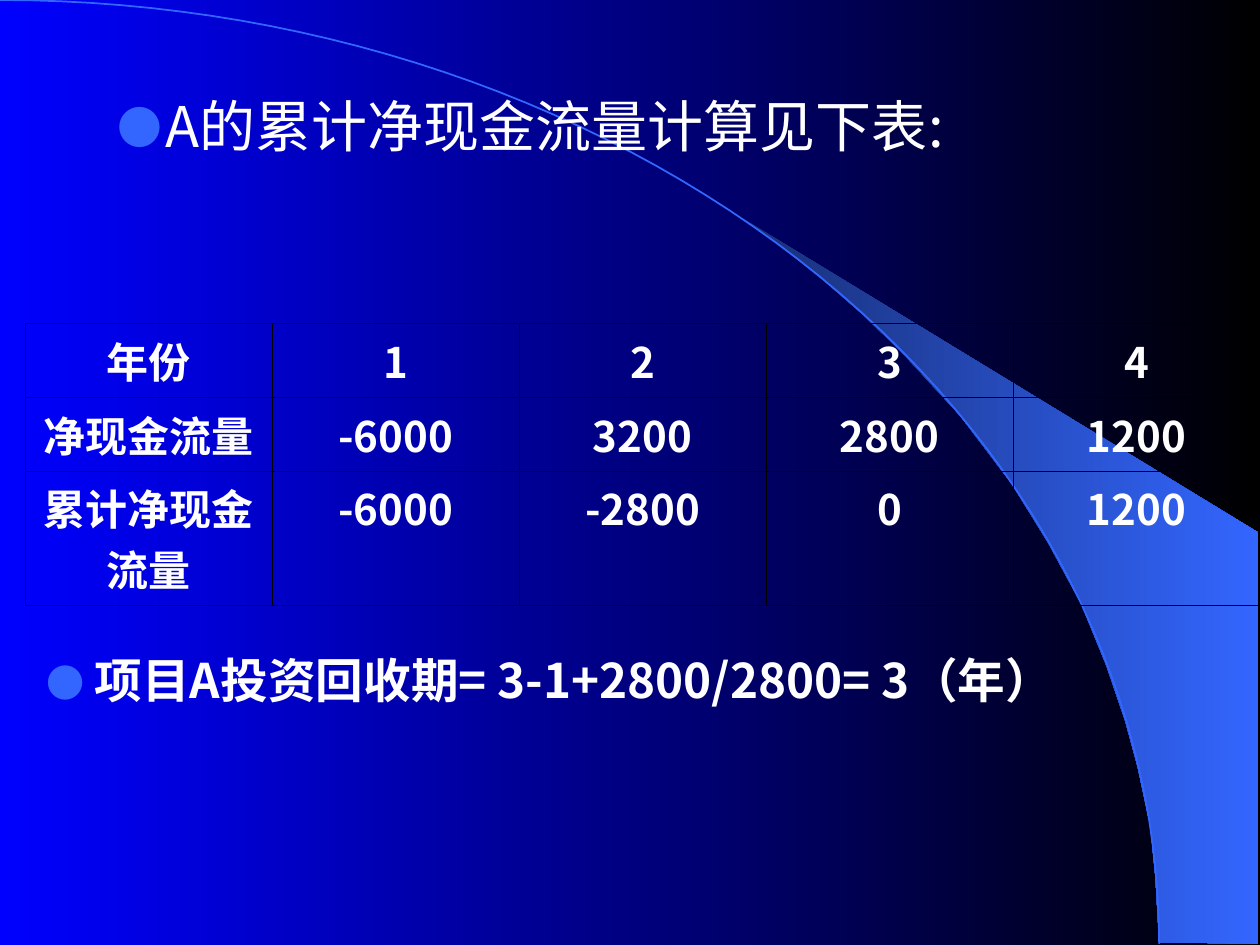
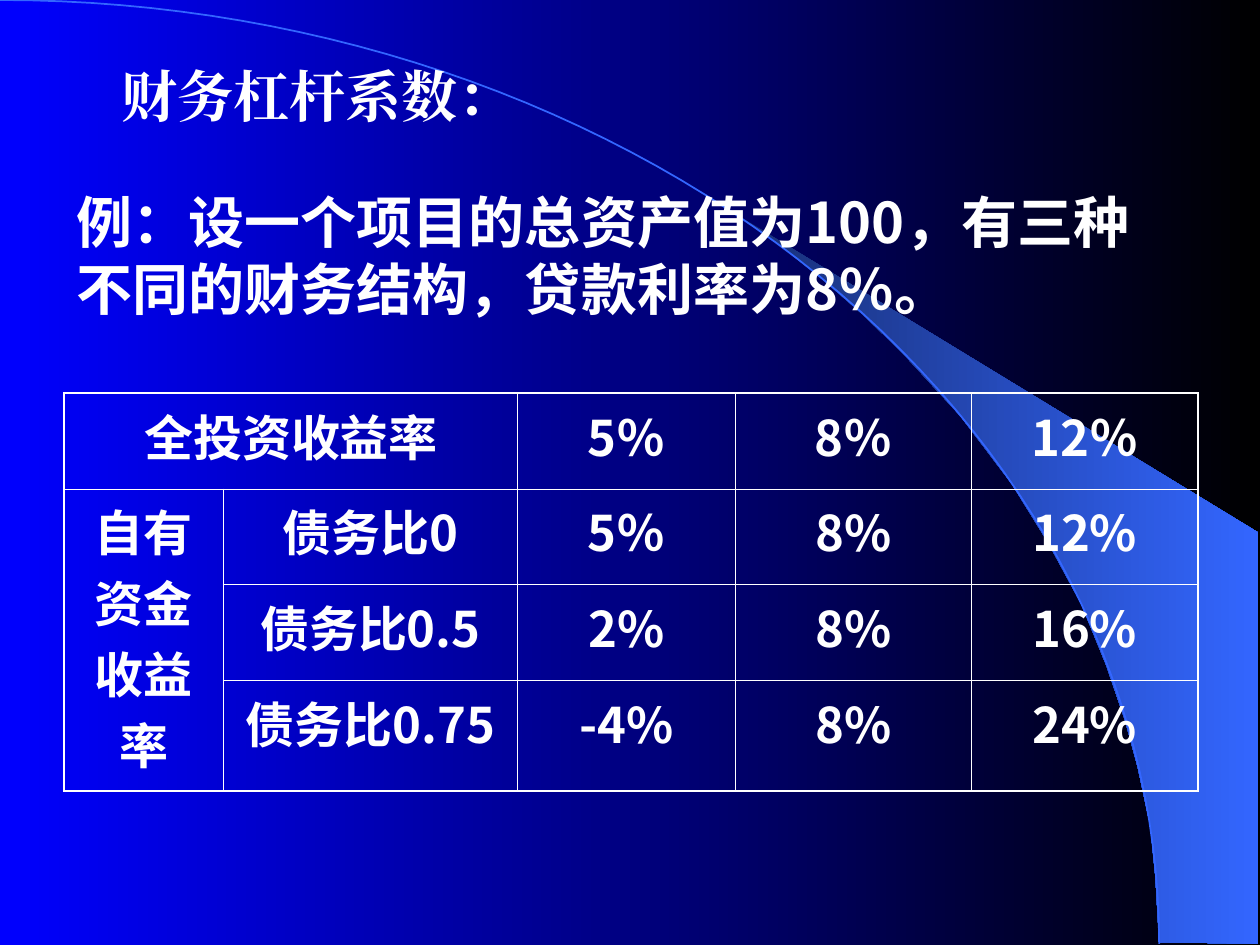
from math import cos, pi, sin

from lxml.etree import SubElement
from pptx import Presentation
from pptx.dml.color import RGBColor
from pptx.enum.text import MSO_ANCHOR, MSO_AUTO_SIZE, PP_ALIGN
from pptx.oxml.ns import qn
from pptx.util import Inches, Pt

THEME = {
    "blue": "0000FF", "black": "000000", "navy": "182F76", "accent": "3366FF", "white": "FFFFFF",
    "font": "Noto Sans CJK SC", "serif": "Times New Roman",
    "head": 32, "result": 27.2, "cell_small": 24, "cell_large": 28,
}


def put_text(tf, text, size, bold=True, font=THEME["font"], align=PP_ALIGN.LEFT,
             anchor=MSO_ANCHOR.TOP, spacing=1.0):
    frame = {"word_wrap": True, "auto_size": MSO_AUTO_SIZE.NONE, "vertical_anchor": anchor}
    for name, value in frame.items():
        setattr(tf, name, value)
    p = tf.paragraphs[0]
    for name, value in {"alignment": align, "space_before": Pt(0), "line_spacing": spacing}.items():
        setattr(p, name, value)
    r = p.add_run()
    r.text = text
    for name, value in {"size": Pt(size), "bold": bold, "name": font}.items():
        setattr(r.font, name, value)
    r.font.color.rgb = RGBColor.from_string(THEME["white"])
    SubElement(r.font._element, qn("a:ea"), typeface=font)
    return p


def put_table(s, box, col_widths, row_heights, rows, size, margin, line, outer, merges=()):
    table = s.shapes.add_table(len(rows), len(col_widths), *map(Inches, box)).table
    table.first_row = table.horz_banding = False
    for col, width in zip(table.columns, col_widths):
        col.width = Inches(width)
    for row, height in zip(table.rows, row_heights):
        row.height = Inches(height)
    for first, last in merges:
        table.cell(*first).merge(table.cell(*last))
    for i, values in enumerate(rows):
        for j, value in enumerate(values):
            cell = table.cell(i, j)
            cell.margin_left = cell.margin_right = Inches(margin)
            cell.margin_top = cell.margin_bottom = Inches(0.05)
            # Borders: the outer frame may be heavier than the grid
            at_edge = {
                "L": j == 0,
                "R": j + cell.span_width == len(col_widths),
                "T": i == 0,
                "B": i + cell.span_height == len(rows),
            }
            tcPr = cell._tc.get_or_add_tcPr()
            for side, is_edge in at_edge.items():
                ln = SubElement(tcPr, qn(f"a:ln{side}"), w=str(Pt(outer if is_edge else 0.45)))
                SubElement(SubElement(ln, qn("a:solidFill")), qn("a:srgbClr"), val=line)
            cell.fill.background()
            if value:
                put_text(cell.text_frame, value, size, align=PP_ALIGN.CENTER)


prs = Presentation()
prs.slide_width, prs.slide_height = Inches(10), Inches(7.5)
master = prs.slide_master

# Slide 1: payback period of project A
s = prs.slides.add_slide(prs.slide_layouts[3])
title, intro, result = s.placeholders
title._element.getparent().remove(title._element)

# Shared backdrop, kept on the master: light wedge and quarter-ellipse arc
wedge_points = [
    (9.99, 7.49), (9.99, 4.23), (5.89, 1.73), (6.24, 1.99), (6.53, 2.22), (6.85, 2.5),
    (7.16, 2.8), (7.62, 3.3), (8.03, 3.84), (8.32, 4.31), (8.58, 4.79), (8.78, 5.28),
    (8.93, 5.72), (9.03, 6.09), (9.13, 6.56), (9.17, 6.96),
]
steps = 60
arc_points = [(9.2 * sin(k * pi / 2 / steps), 7.49 * (1 - cos(k * pi / 2 / steps)))
              for k in range(1, steps + 1)]
outlines = []
for start, points, closed in [((9.2, 7.48), wedge_points, True), ((0, 0), arc_points, False)]:
    builder = s.shapes.build_freeform(*map(Inches, start))
    builder.add_line_segments([(Inches(x), Inches(y)) for x, y in points], close=closed)
    sp = builder.convert_to_shape()
    sp.shadow.inherit = False
    outlines.append(sp)
wedge, arc = outlines
wedge.line.fill.background()
arc.fill.background()
arc.line.width = Pt(1)
arc.line.color.rgb = RGBColor.from_string(THEME["accent"])
for fill, colours in [(master.background.fill, ("blue", "black")), (wedge.fill, ("navy", "accent"))]:
    fill.gradient()
    fill.gradient_angle = 0
    for stop, colour in zip(fill.gradient_stops, colours):
        stop.color.rgb = RGBColor.from_string(THEME[colour])
for position, sp in enumerate(outlines, 2):
    master.shapes._spTree.insert(position, sp._element)

# Bulleted lines above and below the table
bullet_lines = [
    (intro, (0.83, 0.68, 8.5, 0.95), "A的累计净现金流量计算见下表:",
     {"size": THEME["head"], "bold": False}),
    (result, (0.27, 5.17, 9.37, 0.95), "项目A投资回收期= 3-1+2800/2800= 3（年）",
     {"size": THEME["result"], "spacing": 0.9}),
]
for sp, box, text, fmt in bullet_lines:
    sp.left, sp.top, sp.width, sp.height = map(Inches, box)
    pPr = put_text(sp.text_frame, text, **fmt)._p.get_or_add_pPr()
    pPr.set("marL", str(Inches(0.38)))
    pPr.set("indent", str(-Inches(0.38)))
    SubElement(SubElement(pPr, qn("a:buClr")), qn("a:srgbClr"), val=THEME["accent"])
    SubElement(pPr, qn("a:buSzPct"), val="80000")
    SubElement(pPr, qn("a:buFont"), typeface=THEME["font"])
    SubElement(pPr, qn("a:buChar"), char="●")

# Cash flow table
cash_flows = [
    ["年份", "1", "2", "3", "4"],
    ["净现金流量", "-6000", "3200", "2800", "1200"],
    ["累计净现金流量", "-6000", "-2800", "0", "1200"],
]
put_table(s, (0.2, 2.57, 9.8, 1.93), [1.96] * 5, [0.46, 0.57, 0.91], cash_flows,
          THEME["cell_small"], margin=0.08, line=THEME["black"], outer=0.45)

# Slide 2: financial leverage
s = prs.slides.add_slide(prs.slide_layouts[5])
title = s.shapes.title
title.left, title.top, title.width, title.height = map(Inches, (0.51, 1.31, 8.92, 1.42))
put_text(title.text_frame, "例：设一个项目的总资产值为100，有三种不同的财务结构，贷款利率为8％。",
         THEME["head"], anchor=MSO_ANCHOR.MIDDLE)

# Return table
returns = [
    ["全投资收益率", "", "5％", "8％", "12％"],
    ["自有资金收益率", "债务比0", "5％", "8%", "12%"],
    ["", "债务比0.5", "2%", "8%", "16%"],
    ["", "债务比0.75", "-4%", "8%", "24%"],
]
put_table(s, (0.51, 3.12, 9, 3.15), [1.26, 2.34, 1.73, 1.87, 1.8], [0.76] * 3 + [0.88], returns,
          THEME["cell_large"], margin=0.1, line=THEME["white"], outer=1.08,
          merges=[((0, 0), (0, 1)), ((1, 0), (3, 0))])

# Topic heading
topic = s.shapes.add_textbox(*map(Inches, (0.67, 0.44, 3.7, 0.63)))
put_text(topic.text_frame, "财务杠杆系数：", THEME["head"], font=THEME["serif"], align=PP_ALIGN.CENTER)

prs.save("out.pptx")
